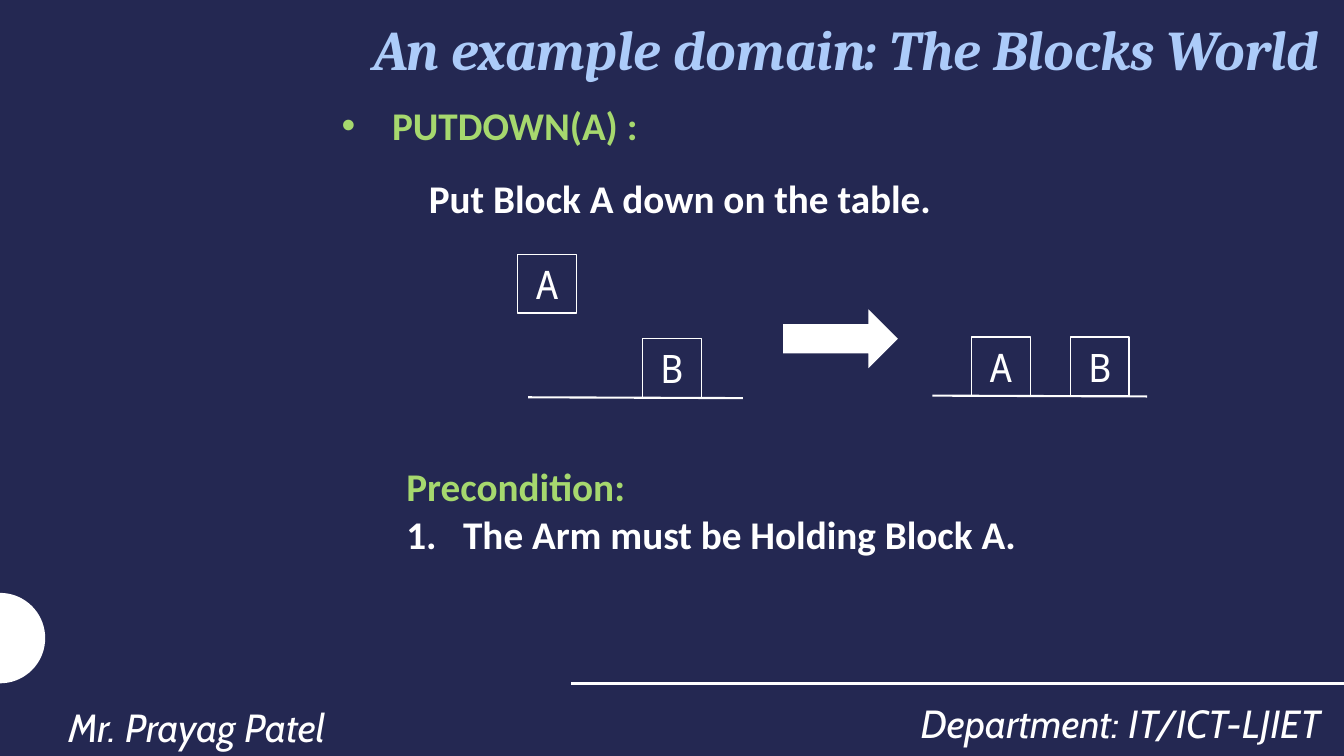
import math
from lxml import etree
from pptx import Presentation
from pptx.dml.color import RGBColor
from pptx.enum.shapes import MSO_CONNECTOR, MSO_SHAPE
from pptx.enum.text import MSO_ANCHOR, PP_ALIGN
from pptx.oxml.ns import qn
from pptx.util import Pt

LEFT, RIGHT, CENTER, JUSTIFY = PP_ALIGN.LEFT, PP_ALIGN.RIGHT, PP_ALIGN.CENTER, PP_ALIGN.JUSTIFY
TOP, MIDDLE = MSO_ANCHOR.TOP, MSO_ANCHOR.MIDDLE
RECT, ARROW, STRAIGHT = MSO_SHAPE.RECTANGLE, MSO_SHAPE.RIGHT_ARROW, MSO_CONNECTOR.STRAIGHT

COLORS = {"navy": "242852", "white": "FFFFFF", "sky": "ACCBF9", "green": "A6D86E"}
RGB = {name: RGBColor.from_string(value) for name, value in COLORS.items()}
FORMATS = {
    "title": {"name": "Cambria", "size": Pt(40), "bold": True, "italic": True},
    "body": {"name": "Calibri", "size": Pt(28), "bold": True},
    "footer": {"name": "Cabin", "size": Pt(28), "italic": True},
    "block": {"name": "Noto Sans Mono", "size": Pt(28)},
}
BULLETS = {
    "dot": (36, "buChar", {"char": "•"}),
    "number": (40.5, "buAutoNum", {"type": "arabicPeriod"}),
}


def write(tf, lines, style, align, anchor=TOP, spacing=None):
    tf.vertical_anchor = anchor
    for i, (text, color, bullet) in enumerate(lines):
        p = tf.add_paragraph() if i else tf.paragraphs[0]
        p.alignment = align
        if spacing:
            p.line_spacing = spacing
        if bullet:
            indent, tag, attrs = BULLETS[bullet]
            pPr = p._p.get_or_add_pPr()
            pPr.set("marL", str(Pt(indent)))
            pPr.set("indent", str(-Pt(indent)))
            if bullet == "dot":
                etree.SubElement(pPr, qn("a:buFont"), typeface="Arial")
            etree.SubElement(pPr, qn(f"a:{tag}"), attrs)
        r = p.add_run()
        r.text = text
        for key, value in FORMATS[style].items():
            setattr(r.font, key, value)
        r.font.color.rgb = RGB[color]


prs = Presentation()
prs.slide_width, prs.slide_height = Pt(960), Pt(540)
s = prs.slides.add_slide(prs.slide_layouts[6])
s.background.fill.solid()
s.background.fill.fore_color.rgb = RGB["navy"]

radius, center_y = 32.3, 455.8
arc = [math.radians(a) for a in range(-90, 91, 5)]
points = [(radius * math.cos(a), center_y + radius * math.sin(a)) for a in arc]
builder = s.shapes.build_freeform(Pt(0), Pt(center_y - radius))
builder.add_line_segments([(Pt(x), Pt(y)) for x, y in points[1:]], close=True)
half_disc = builder.convert_to_shape()
arrow = s.shapes.add_shape(ARROW, Pt(559.3), Pt(221), Pt(82), Pt(42))
for sp in (half_disc, arrow):
    sp.shadow.inherit = False
    sp.fill.solid()
    sp.fill.fore_color.rgb = RGB["white"]
    sp.line.fill.background()

for x1, y1, x2, y2, weight in [
    (408, 488, 960, 488, 2),
    (377.2, 283.8, 530.6, 284.4, 1.5),
    (666, 282.6, 819.4, 283.2, 1.5),
]:
    line = s.shapes.add_connector(STRAIGHT, Pt(x1), Pt(y1), Pt(x2), Pt(y2))
    line.line.color.rgb = RGB["white"]
    line.line.width = Pt(weight)
    etree.SubElement(line._element.spPr, qn("a:effectLst"))

for box, lines, style, align, anchor, spacing in [
    ((124.6, 2, 824.4, 65), [("An example domain: The Blocks World", "sky", None)],
     "title", RIGHT, MIDDLE, None),
    ((237, 52, 713.5, 52.6), [("PUTDOWN(A) :", "green", "dot")],
     "body", JUSTIFY, TOP, 1.5),
    ((299.3, 121, 385.2, 41), [("Put Block A down on the table.", "white", None)],
     "body", LEFT, TOP, None),
    ((283.2, 327, 455, 75), [("Precondition:", "green", None),
                             ("The Arm must be Holding Block A.", "white", "number")],
     "body", LEFT, TOP, None),
    ((581.8, 491, 368.6, 45.4), [("Department: IT/ICT-LJIET", "white", None)],
     "footer", RIGHT, TOP, 1.14),
    ((41.8, 494.2, 613.4, 45.4), [("Mr. Prayag Patel", "white", None)],
     "footer", LEFT, TOP, 1.14),
]:
    tf = s.shapes.add_textbox(*map(Pt, box)).text_frame
    tf.word_wrap = True
    write(tf, lines, style, align, anchor, spacing)

for label, x, y in [("A", 369.8, 181.7), ("B", 459, 242), ("A", 694, 240.8), ("B", 764.6, 240.8)]:
    sp = s.shapes.add_shape(RECT, Pt(x), Pt(y), Pt(42), Pt(42))
    sp.shadow.inherit = False
    sp.fill.background()
    sp.line.color.rgb = RGB["white"]
    sp.line.width = Pt(1)
    sp.text_frame.word_wrap = False
    write(sp.text_frame, [(label, "white", None)], "block", CENTER, MIDDLE)

prs.save("out.pptx")
